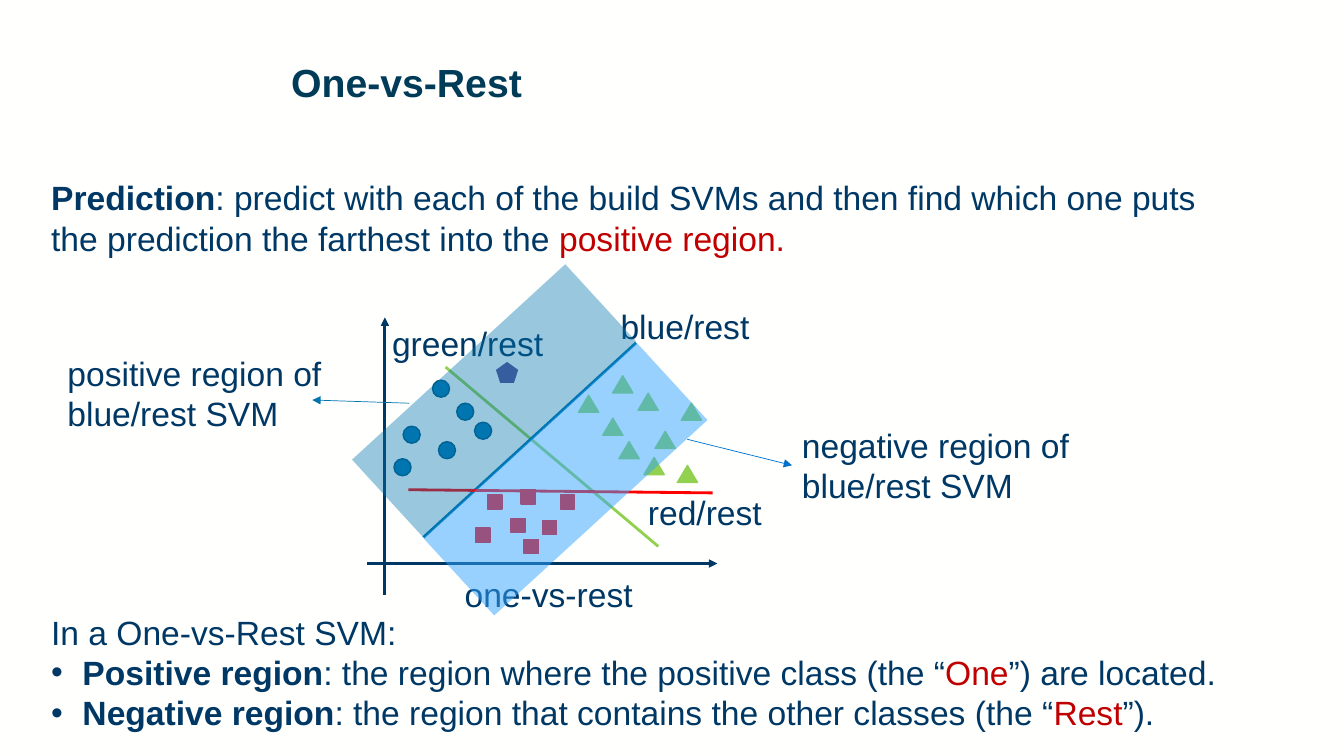
from lxml.etree import SubElement
from pptx import Presentation
from pptx.dml.color import RGBColor
from pptx.enum.shapes import MSO_CONNECTOR, MSO_SHAPE
from pptx.oxml.ns import qn
from pptx.util import Cm, Pt

COLORS = {
    "background": "FFFFFE", "title": "003B58", "navy": "003865",
    "blue": "0075B0", "blue_edge": "005782", "red": "FF0000",
    "green": "92D050", "purple": "5B4D93", "sky": "32A4FF",
    "arrow": "0071CB", "accent": "C00000",
}
BLUE_POINTS = [(10.9, 9.58), (11.51, 10.16), (10.16, 10.74),
               (11.05, 11.13), (11.96, 10.64), (9.93, 11.56)]
RED_POINTS = [(12.29, 12.47), (12.88, 13.06), (13.67, 13.11), (11.99, 13.31),
              (14.12, 12.47), (13.13, 12.34), (13.21, 13.59)]
GREEN_POINTS = [(14.58, 9.96), (15.19, 10.54), (15.6, 11.13),
                (16.08, 9.91), (16.51, 10.87), (15.44, 9.47),
                (16.23, 11.53), (17.07, 11.73), (17.17, 10.16)]


def rgb(color):
    """Return the named colour."""
    return RGBColor.from_string(COLORS[color])


def add_bullet(paragraph):
    """Give the paragraph a hanging bullet."""
    properties = paragraph._p.get_or_add_pPr()
    properties.set("marL", str(Cm(0.79)))
    properties.set("indent", str(-Cm(0.79)))
    SubElement(properties, qn("a:buFont"), typeface="Arial")
    SubElement(properties, qn("a:buChar"), char="•")


def add_text(slide, box, paragraphs, size=24, color="navy"):
    """Add a text box of (text, style) runs, bulleted after the first paragraph."""
    label = slide.shapes.add_textbox(*map(Cm, box))
    frame = label.text_frame
    frame.word_wrap = True
    for index, runs in enumerate(paragraphs):
        paragraph = frame.paragraphs[0] if index == 0 else frame.add_paragraph()
        if index:
            add_bullet(paragraph)
        paragraph.font.name = "Arial"
        paragraph.font.size = Pt(size)
        paragraph.font.color.rgb = rgb(color)
        for text, style in runs:
            run = paragraph.add_run()
            run.text = text
            run.font.name = "Arial"
            run.font.size = Pt(size)
            run.font.bold = style == "bold"
            run.font.color.rgb = rgb("accent" if style == "accent" else color)
    return label


def add_label(slide, left, top, width, height, text):
    """Add a plain diagram label."""
    return add_text(slide, (left, top, width, height), [[(text, "plain")]])


def add_line(slide, start, end, color, width=2, arrow=False):
    """Add a straight line, with an arrowhead at its end if asked."""
    line = slide.shapes.add_connector(
        MSO_CONNECTOR.STRAIGHT, *map(Cm, start + end))
    line.line.color.rgb = rgb(color)
    line.line.width = Pt(width)
    if arrow:
        SubElement(line.line._get_or_add_ln(), qn("a:tailEnd"), type="triangle")
    SubElement(line._element.spPr, qn("a:effectLst"))
    return line


def add_mark(slide, kind, box, fill, edge=None):
    """Add a filled shape, outlined if an edge colour is given."""
    mark = slide.shapes.add_shape(kind, *map(Cm, box))
    mark.shadow.inherit = False
    mark.fill.solid()
    mark.fill.fore_color.rgb = rgb(fill)
    if edge:
        mark.line.color.rgb = rgb(edge)
        mark.line.width = Pt(1)
    else:
        mark.line.fill.background()
    return mark


def add_class(slide, kind, points, size, fill, edge):
    """Add all data points of one class."""
    for point in points:
        add_mark(slide, kind, point + size, fill, edge)


def add_region(slide, left, top, color, opacity):
    """Add a tilted translucent half-plane."""
    region = add_mark(slide, MSO_SHAPE.RECTANGLE, (left, top, 2.64, 7.29), color)
    region.rotation = 47.5
    tint = region._element.spPr.find(qn("a:solidFill"))[0]
    SubElement(tint, qn("a:alpha"), val=str(opacity * 1000))


def add_plot(slide):
    """Draw the axes, classes, separators and regions."""
    add_line(slide, (9.25, 14.2), (18.08, 14.2), "navy", arrow=True)
    add_label(slide, 11.46, 14.33, 5, 1.27, "one-vs-rest")
    add_line(slide, (9.7, 14.99), (9.7, 8), "navy", arrow=True)
    add_class(slide, MSO_SHAPE.OVAL, BLUE_POINTS, (0.43, 0.43), "blue", "blue_edge")
    add_class(slide, MSO_SHAPE.RECTANGLE, RED_POINTS, (0.36, 0.36), "red", "red")
    add_class(slide, MSO_SHAPE.ISOSCELES_TRIANGLE, GREEN_POINTS, (0.51, 0.43),
              "green", "green")
    add_line(slide, (11.23, 9.25), (16.59, 13.77), "green")
    add_line(slide, (16.03, 8.64), (10.67, 13.54), "blue")
    add_line(slide, (17.96, 12.42), (10.29, 12.34), "red")
    add_label(slide, 15.39, 7.59, 4.04, 1.27, "blue/rest")
    add_label(slide, 9.63, 8, 4.55, 1.27, "green/rest")
    add_label(slide, 16.08, 12.27, 3.71, 1.27, "red/rest")
    add_mark(slide, MSO_SHAPE.REGULAR_PENTAGON, (12.5, 9.12, 0.56, 0.53), "purple")
    negative = add_label(slide, 19.96, 10.57, 8.31, 2.31,
                         "negative region of blue/rest SVM")
    add_region(slide, 12.93, 8.43, "sky", 50)
    add_region(slide, 11.13, 6.45, "blue", 40)
    add_label(slide, 1.45, 8.76, 7.37, 2.31, "positive region of blue/rest SVM")
    negative_arrow = add_line(slide, (17.32, 11.07), (19.96, 11.73), "arrow", 0.5, True)
    negative_arrow.end_connect(negative, 1)
    add_line(slide, (10.31, 10.16), (7.87, 10.08), "blue", 0.5, True)


def main():
    """Build and save the slide."""
    deck = Presentation()
    deck.slide_width, deck.slide_height = Cm(33.87), Cm(19.05)
    slide = deck.slides.add_slide(deck.slide_layouts[6])
    slide.background.fill.solid()
    slide.background.fill.fore_color.rgb = rgb("background")
    title = add_text(slide, (7.09, 1.47, 25.58, 2.46),
                     [[("One-vs-Rest", "bold")]], 28, "title")
    title.text_frame.paragraphs[0].line_spacing = 0.9
    add_text(slide, (1.04, 4.34, 29.46, 2.31), [[
        ("Prediction", "bold"),
        (": predict with each of the build SVMs and then find which one puts "
         "the prediction the farthest into the ", "plain"),
        ("positive region.", "accent")]])
    add_plot(slide)
    add_text(slide, (1.04, 15.29, 31.72, 3.33), [
        [("In a One-vs-Rest SVM:", "plain")],
        [("Positive region", "bold"),
         (": the region where the positive class (the “", "plain"),
         ("One", "accent"), ("”) are located.", "plain")],
        [("Negative region", "bold"),
         (": the region that contains the other classes (the “", "plain"),
         ("Rest", "accent"), ("”).", "plain")]])
    deck.save("out.pptx")


if __name__ == "__main__":
    main()
